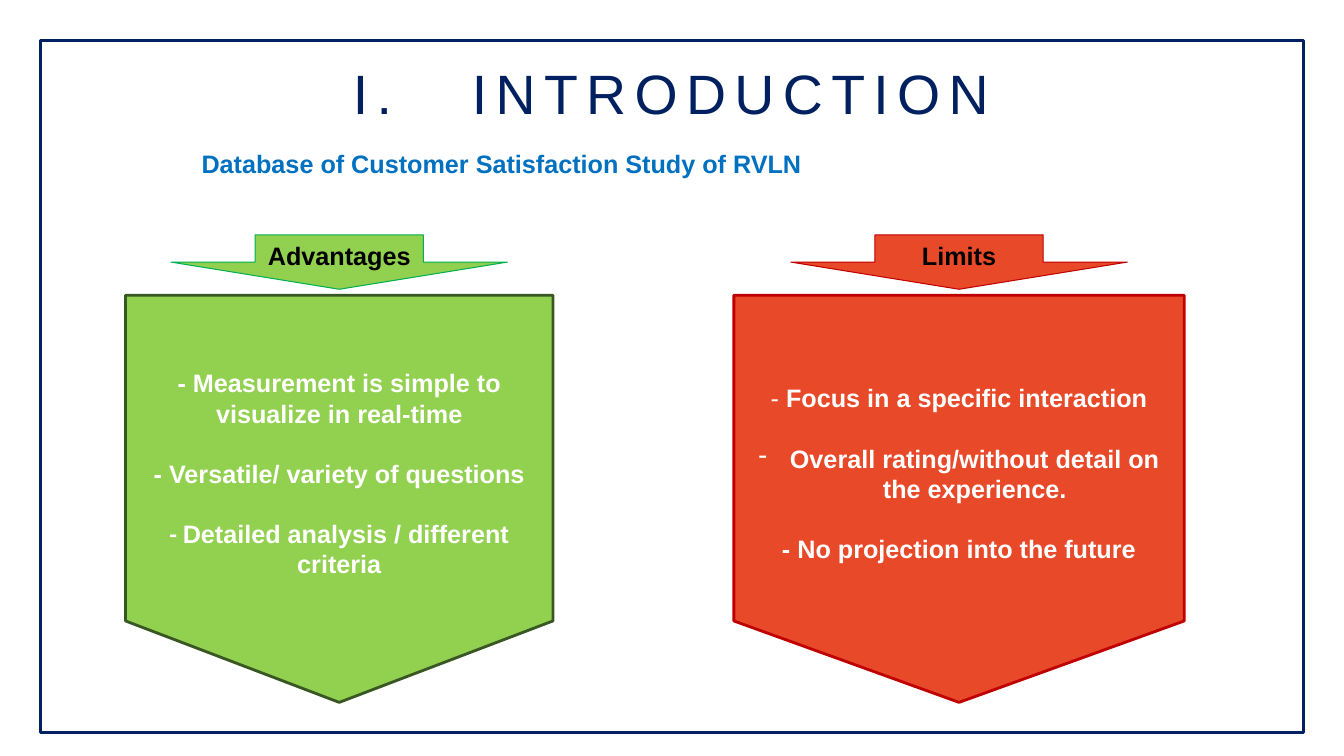
"""Build the introduction slide comparing advantages and limits of the study."""
from lxml.etree import SubElement
from pptx import Presentation
from pptx.dml.color import RGBColor
from pptx.enum.shapes import MSO_SHAPE as Kind
from pptx.enum.text import MSO_ANCHOR as Anchor, PP_ALIGN as Align
from pptx.oxml.ns import qn
from pptx.util import Cm, Pt

NAVY = RGBColor(0x00, 0x20, 0x60)
BLUE = RGBColor(0x00, 0x70, 0xC0)
WHITE = RGBColor(0xFF, 0xFF, 0xFF)
BLACK = RGBColor(0x00, 0x00, 0x00)
LIME = RGBColor(0x92, 0xD0, 0x50)
GREEN = RGBColor(0x00, 0xB0, 0x50)
MOSS = RGBColor(0x38, 0x57, 0x23)
RED = RGBColor(0xE7, 0x49, 0x29)
DARK = RGBColor(0xC0, 0x00, 0x00)


def style(run, size, color, bold=True, face="Arial"):
    font = run.font
    font.name, font.size, font.bold = face, Pt(size), bold
    font.color.rgb = color


def draw(kind, left, top, width, height, fill, line, weight):
    shape = slide.shapes.add_shape(kind, Cm(left), Cm(top), Cm(width), Cm(height))
    shape.shadow.inherit = False
    if fill is None:
        shape.fill.background()
    else:
        shape.fill.solid()
        shape.fill.fore_color.rgb = fill
    shape.line.color.rgb = line
    shape.line.width = Pt(weight)
    return shape


deck = Presentation()
deck.slide_width, deck.slide_height = Cm(33.87), Cm(19.05)
slide = deck.slides.add_slide(deck.slide_layouts[6])

draw(Kind.RECTANGLE, 1.02, 1.02, 31.83, 17.45, None, NAVY, 2)

title = slide.shapes.add_textbox(Cm(2.31), Cm(1.65), Cm(29.21), Cm(1.55)).text_frame
title.word_wrap = True
title.vertical_anchor = Anchor.MIDDLE
head = title.paragraphs[0]
head.alignment, head.line_spacing = Align.CENTER, 0.9
for text, gap in (("I.", 600), (" ", 4000), ("INTRODUCTION", 600)):
    run = head.add_run()
    run.text = text
    style(run, 39.6, NAVY, False)
    run.font._element.set("spc", str(gap))

topic = slide.shapes.add_textbox(Cm(4.83), Cm(3.71), Cm(24), Cm(1)).text_frame
topic.word_wrap = True
topic.text = "Database of Customer Satisfaction Study of RVLN"
topic.paragraphs[0].line_spacing = 0.9
style(topic.paragraphs[0].runs[0], 18, BLUE)

# Each point: dash text, dash bold, dash font, wording, real bullet
PROS = [
    ("- ", True, "Arial", "Measurement is simple to visualize in real-time", False),
    ("- ", True, "Arial", "Versatile/ variety of questions", False),
    ("- ", True, "Calibri", "Detailed analysis / different criteria", False),
]
CONS = [
    ("- ", False, "Arial", "Focus in a specific interaction", False),
    ("", False, "Arial", "Overall rating/without detail on the experience.", True),
    ("- ", True, "Arial", "No projection into the future", False),
]
SIDES = [
    ("Advantages", 8.55, 10.77, LIME, MOSS, GREEN, PROS),
    ("Limits", 24.17, 11.35, RED, DARK, DARK, CONS),
]

for name, mid, width, fill, edge, rim, points in SIDES:
    panel = draw(Kind.FLOWCHART_OFFPAGE_CONNECTOR, mid - width / 2, 7.44,
                 width, 10.26, fill, edge, 2)
    body = panel.text_frame
    body.word_wrap = True
    body.vertical_anchor = Anchor.MIDDLE
    body.margin_top = Cm(0.89)
    for rank, (dash, bold, face, text, bullet) in enumerate(points):
        para = body.add_paragraph() if rank else body.paragraphs[0]
        para.alignment = Align.CENTER
        if rank:
            para.space_before = Pt(21.5)
        if bullet:
            props = para._p.get_or_add_pPr()
            props.set("marL", str(Cm(0.79)))
            props.set("indent", str(-Cm(0.79)))
            SubElement(props, qn("a:buFontTx"))
            SubElement(props, qn("a:buChar")).set("char", "-")
        else:
            run = para.add_run()
            run.text = dash
            style(run, 18, WHITE, bold, face)
        run = para.add_run()
        run.text = text
        style(run, 18, WHITE)

    arrow = draw(Kind.DOWN_ARROW, mid - 4.24, 5.92, 8.48, 1.37, fill, rim, 0.75)
    label = arrow.text_frame
    label.word_wrap = True
    label.vertical_anchor = Anchor.TOP
    label.text = name
    label.paragraphs[0].alignment = Align.CENTER
    style(label.paragraphs[0].runs[0], 18, BLACK)

deck.save("out.pptx")
